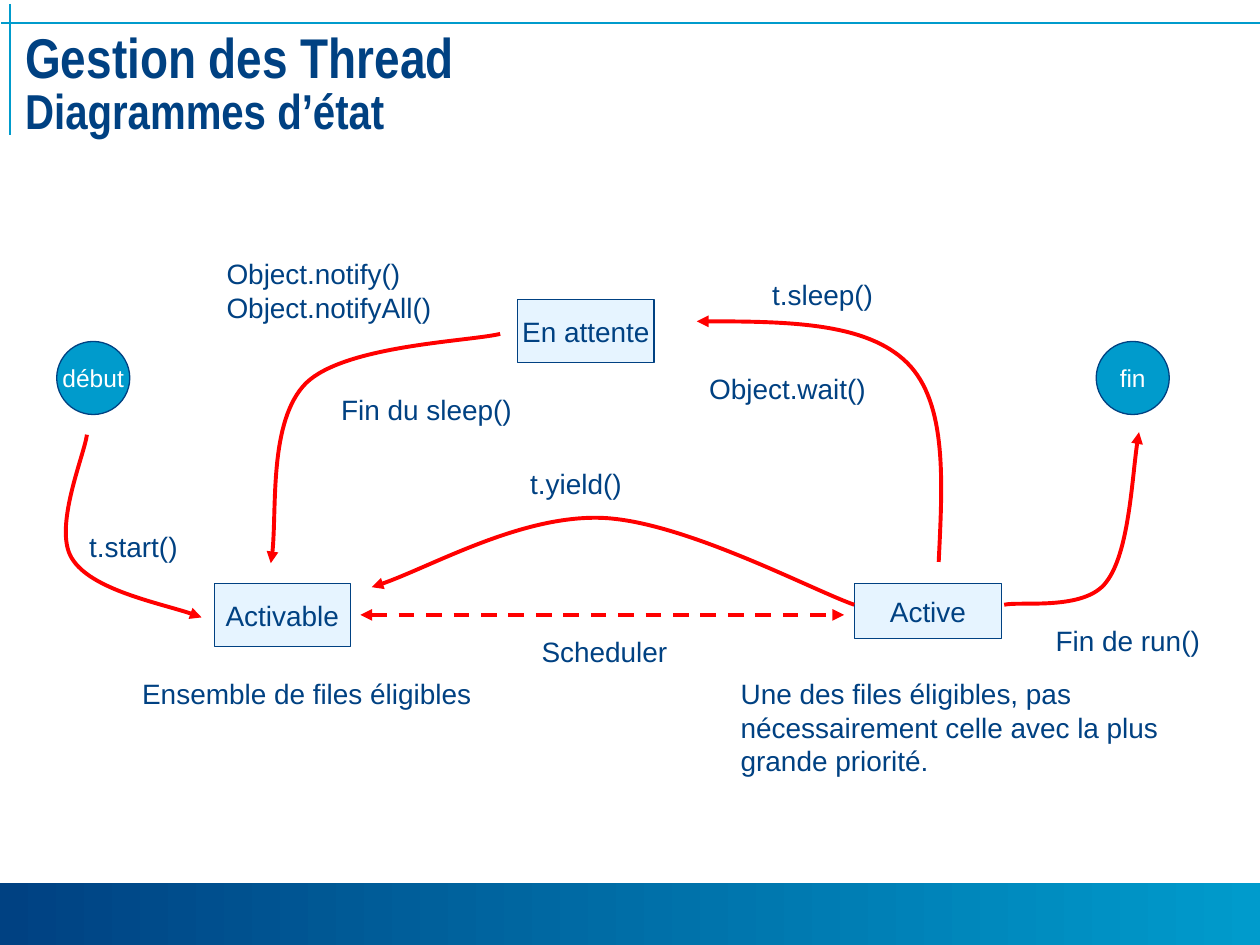
"""Build a slide showing the thread state diagram."""
from lxml.etree import SubElement
from pptx import Presentation
from pptx.dml.color import RGBColor
from pptx.enum.dml import MSO_LINE
from pptx.enum.shapes import MSO_CONNECTOR, MSO_SHAPE
from pptx.enum.text import MSO_ANCHOR, MSO_AUTO_SIZE, PP_ALIGN
from pptx.oxml.ns import qn
from pptx.util import Inches, Pt

COLORS = {name: RGBColor.from_string(value) for name, value in {
    "navy": "004182", "cyan": "009BCC", "pale": "E6F4FF",
    "red": "FF0000", "white": "FFFFFF"}.items()}


def style_line(shape, color, width, ends=()):
    """Colour the outline, add arrowheads and drop the shadow."""
    shape.line.color.rgb = COLORS[color]
    shape.line.width = Pt(width)
    for end in ends:
        SubElement(shape.line._get_or_add_ln(), qn(f"a:{end}"), type="triangle")
    SubElement(shape._element.spPr, qn("a:effectLst"))


def write(shape, text, size, color, align):
    """Fill an unwrapped text frame with one paragraph per line."""
    tf = shape.text_frame
    tf.word_wrap = False
    tf.text = text
    for p in tf.paragraphs:
        p.alignment = align
        p.font.name = "Arial"
        p.font.size = Pt(size)
        p.font.color.rgb = COLORS[color]
    return tf


prs = Presentation()
prs.slide_width, prs.slide_height = Inches(10), Inches(7.5)
s = prs.slides.add_slide(prs.slide_layouts[5])

band = s.shapes.add_shape(MSO_SHAPE.RECTANGLE, 0, Inches(7.01), Inches(10), Inches(0.49))
band.shadow.inherit = False
band.line.fill.background()
band.fill.gradient()
band.fill.gradient_angle = 0
for stop, color in zip(band.fill.gradient_stops, ("navy", "cyan")):
    stop.color.rgb = COLORS[color]

for ends in ((0.01, 0.18, 10, 0.18), (0.08, 0.03, 0.08, 1.07)):
    rule = s.shapes.add_connector(MSO_CONNECTOR.STRAIGHT, *map(Inches, ends))
    style_line(rule, "cyan", 1)

title = s.shapes.title
title.left, title.top, title.width, title.height = map(Inches, (0.1, 0.22, 9.83, 1.01))
tf = title.text_frame
tf.auto_size = MSO_AUTO_SIZE.NONE
tf.vertical_anchor = MSO_ANCHOR.TOP
tf.margin_left = tf.margin_right = Inches(0.1)
tf.margin_top = tf.margin_bottom = Inches(0.04)
p = tf.paragraphs[0]
p.alignment = PP_ALIGN.LEFT
p.line_spacing = 0.85
p.font.name = "Arial Narrow"
p.font.bold = True
p.font.color.rgb = COLORS["navy"]
r = p.add_run()
r.text, r.font.size = "Gestion des Thread", Pt(32)
p.add_line_break()
r = p.add_run()
r.text, r.font.size = "Diagrammes d’état", Pt(28)

box = (MSO_SHAPE.RECTANGLE, "pale", "navy", 16)
circle = (MSO_SHAPE.OVAL, "cyan", "white", 14)
states = [
    ("Activable", box, 1.7, 4.63, 1.08, 0.5),
    ("Active", box, 6.78, 4.63, 1.17, 0.44),
    ("En attente", box, 4.11, 2.38, 1.08, 0.5),
    ("début", circle, 0.45, 2.71, 0.58, 0.58),
    ("fin", circle, 8.7, 2.71, 0.58, 0.58),
]
for text, (kind, fill, color, size), *place in states:
    sp = s.shapes.add_shape(kind, *map(Inches, place))
    sp.fill.solid()
    sp.fill.fore_color.rgb = COLORS[fill]
    style_line(sp, "navy", 0.75)
    tf = write(sp, text, size, color, PP_ALIGN.CENTER)
    tf.vertical_anchor = MSO_ANCHOR.MIDDLE

scheduler = s.shapes.add_connector(
    MSO_CONNECTOR.STRAIGHT, *map(Inches, (2.86, 4.88, 6.7, 4.88)))
scheduler.line.dash_style = MSO_LINE.DASH
style_line(scheduler, "red", 2.25, ("headEnd", "tailEnd"))

curves = [
    [(7.45, 4.46), (7.48, 3.83), (7.52, 3.2), (7.2, 2.88),
     (6.88, 2.56), (6.2, 2.55), (5.53, 2.55)],
    [(3.97, 2.65), (3.72, 2.71), (2.74, 2.74), (2.43, 3.04),
     (2.13, 3.34), (2.21, 4.17), (2.15, 4.47)],
    [(0.69, 3.45), (0.67, 3.61), (0.42, 4.19), (0.57, 4.43),
     (0.72, 4.68), (1.38, 4.81), (1.6, 4.9)],
    [(7.97, 4.8), (8.1, 4.77), (8.61, 4.85), (8.78, 4.62),
     (8.96, 4.39), (8.99, 3.68), (9.04, 3.43)],
    [(6.78, 4.8), (6.44, 4.68), (5.41, 4.13), (4.77, 4.11),
     (4.13, 4.09), (3.33, 4.55), (2.95, 4.66)],
]
for points in curves:
    start, *rest = [(Inches(x), Inches(y)) for x, y in points]
    builder = s.shapes.build_freeform(*start)
    builder.add_line_segments(rest, close=False)
    sp = builder.convert_to_shape()
    outline = sp._element.spPr.find(".//" + qn("a:path"))
    segments = outline.findall(qn("a:lnTo"))
    for i in range(0, len(segments), 3):
        bezier = SubElement(outline, qn("a:cubicBezTo"))
        for segment in segments[i:i + 3]:
            bezier.append(segment[0])
            outline.remove(segment)
    sp.fill.background()
    style_line(sp, "red", 2.25, ("tailEnd",))

labels = [
    ("Scheduler", 4.2, 4.99, 1.2, 0.37),
    ("t.start()", 0.61, 4.15, 0.91, 0.37),
    ("t.yield()", 4.11, 3.65, 0.93, 0.37),
    ("t.sleep()", 6.03, 2.15, 1.01, 0.37),
    ("Fin de run()", 8.28, 4.9, 1.35, 0.37),
    ("Ensemble de files éligibles", 1.03, 5.32, 2.81, 0.37),
    ("Une des files éligibles, pas\nnécessairement celle avec la plus\ngrande priorité.",
     5.78, 5.32, 3.58, 0.9),
    ("Object.wait()", 5.53, 2.9, 1.45, 0.37),
    ("Object.notify()\nObject.notifyAll()", 1.7, 1.99, 1.83, 0.64),
    ("Fin du sleep()", 2.61, 3.07, 1.56, 0.37),
]
for text, *place in labels:
    sp = s.shapes.add_textbox(*map(Inches, place))
    tf = write(sp, text, 16, "navy", PP_ALIGN.LEFT)
    tf.auto_size = MSO_AUTO_SIZE.SHAPE_TO_FIT_TEXT

prs.save("out.pptx")
